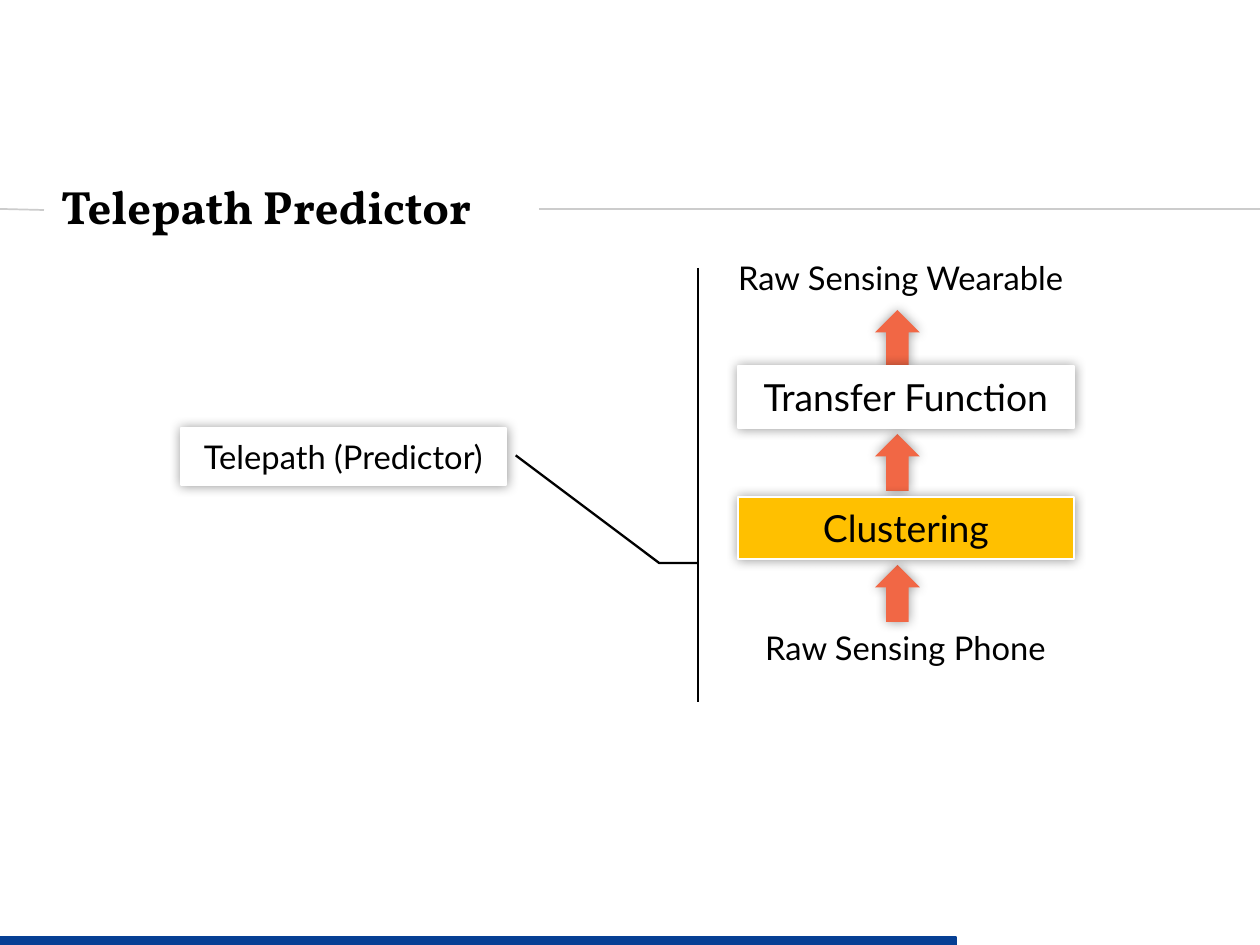
from pptx import Presentation
from pptx.dml.color import RGBColor
from pptx.enum.shapes import MSO_CONNECTOR, MSO_SHAPE
from pptx.enum.text import MSO_ANCHOR, PP_ALIGN
from pptx.oxml import parse_xml
from pptx.oxml.ns import nsdecls, qn
from pptx.util import Pt

RECT = MSO_SHAPE.RECTANGLE
UP_ARROW = MSO_SHAPE.UP_ARROW
CALLOUT = MSO_SHAPE.LINE_CALLOUT_2_ACCENT_BAR
STRAIGHT = MSO_CONNECTOR.STRAIGHT
LEFT, CENTER = PP_ALIGN.LEFT, PP_ALIGN.CENTER
TOP, MIDDLE = MSO_ANCHOR.TOP, MSO_ANCHOR.MIDDLE

EMU_PER_PX = 914400 / 168
BLACK, WHITE, GRAY = "000000", "FFFFFF", "CCCCCC"
BLUE, ORANGE, AMBER = "063F94", "F16745", "FFC000"


def px(*lengths):
    return [round(n * EMU_PER_PX) for n in lengths]


def paint(color_format, color):
    color_format.rgb = RGBColor.from_string(color)


def write(shape, text, size=14, font="Lato", bold=False, align=LEFT,
          anchor=TOP, wrap=True, inset_y=8, spacing=None):
    tf = shape.text_frame
    tf.word_wrap = wrap
    tf.vertical_anchor = anchor
    tf.margin_left, tf.margin_right = px(17, 17)
    tf.margin_top, tf.margin_bottom = px(inset_y, inset_y)
    p = tf.paragraphs[0]
    p.alignment = align
    p.line_spacing = spacing
    r = p.add_run()
    r.text = text
    r.font.size = Pt(size)
    r.font.name = font
    r.font.bold = bold
    paint(r.font.color, BLACK)


def add_text(s, text, x, y, w, h, **fmt):
    write(s.shapes.add_textbox(*px(x, y, w, h)), text, **fmt)


def add_shape(s, kind, x, y, w, h, fill=None, line=None, line_width=1, shadow=False):
    sp = s.shapes.add_shape(kind, *px(x, y, w, h))
    if fill:
        sp.fill.solid()
        paint(sp.fill.fore_color, fill)
    else:
        sp.fill.background()
    if line:
        paint(sp.line.color, line)
        sp.line.width = Pt(line_width)
    else:
        sp.line.fill.background()
    sp.shadow.inherit = False
    if shadow:
        sp._element.spPr.find(qn("a:effectLst")).append(parse_xml(
            f'<a:outerShdw {nsdecls("a")} blurRad="{Pt(5)}" dist="0" dir="0">'
            f'<a:srgbClr val="{BLACK}"><a:alpha val="40000"/></a:srgbClr></a:outerShdw>'))
    return sp


def add_box(s, text, x, y, w, h, fill=WHITE, line_width=0.75, size=16):
    sp = add_shape(s, RECT, x, y, w, h, fill, WHITE, line_width, shadow=True)
    write(sp, text, size=size, align=CENTER, anchor=MIDDLE, wrap=False)


def add_rule(s, x1, y1, x2, y2):
    line = s.shapes.add_connector(STRAIGHT, *px(x1, y1, x2, y2))
    paint(line.line.color, GRAY)
    line.line.width = Pt(0.75)
    line._element.spPr.append(parse_xml(f'<a:effectLst {nsdecls("a")}/>'))


def add_callout(s, x, y, w, h, points):
    sp = add_shape(s, CALLOUT, x, y, w, h, line=BLACK)
    for i, value in enumerate(points):
        sp.adjustments[i] = value


def main():
    prs = Presentation()
    prs.slide_width, prs.slide_height = px(1260, 945)
    s = prs.slides.add_slide(prs.slide_layouts[6])

    add_text(s, "Telepath Predictor", 44, 169, 1047, 81, size=20, font="Vollkorn",
             bold=True, anchor=MIDDLE, inset_y=17, spacing=0.9)
    add_rule(s, 0, 209, 44, 210)
    add_rule(s, 539, 209, 1260, 209)
    add_shape(s, RECT, 0, 937, 956, 8, fill=BLUE, line=BLUE)

    add_callout(s, 825, 268, 358, 434, (0.68, -0.355, 0.68, -0.463, 0.432, -0.864))
    for y in (310, 434, 565):
        add_shape(s, UP_ARROW, 875, y, 45, 57, fill=ORANGE, shadow=True)
    add_text(s, "Raw Sensing Phone", 721, 620, 369, 57, align=CENTER)
    add_text(s, "Raw Sensing Wearable", 721, 250, 369, 57)
    add_box(s, "Clustering", 738, 497, 336, 62, fill=AMBER)
    add_box(s, "Transfer Function", 738, 366, 336, 62)
    add_box(s, "Telepath (Predictor)", 181, 428, 325, 57, line_width=1, size=14)

    prs.save("out.pptx")


if __name__ == "__main__":
    main()
